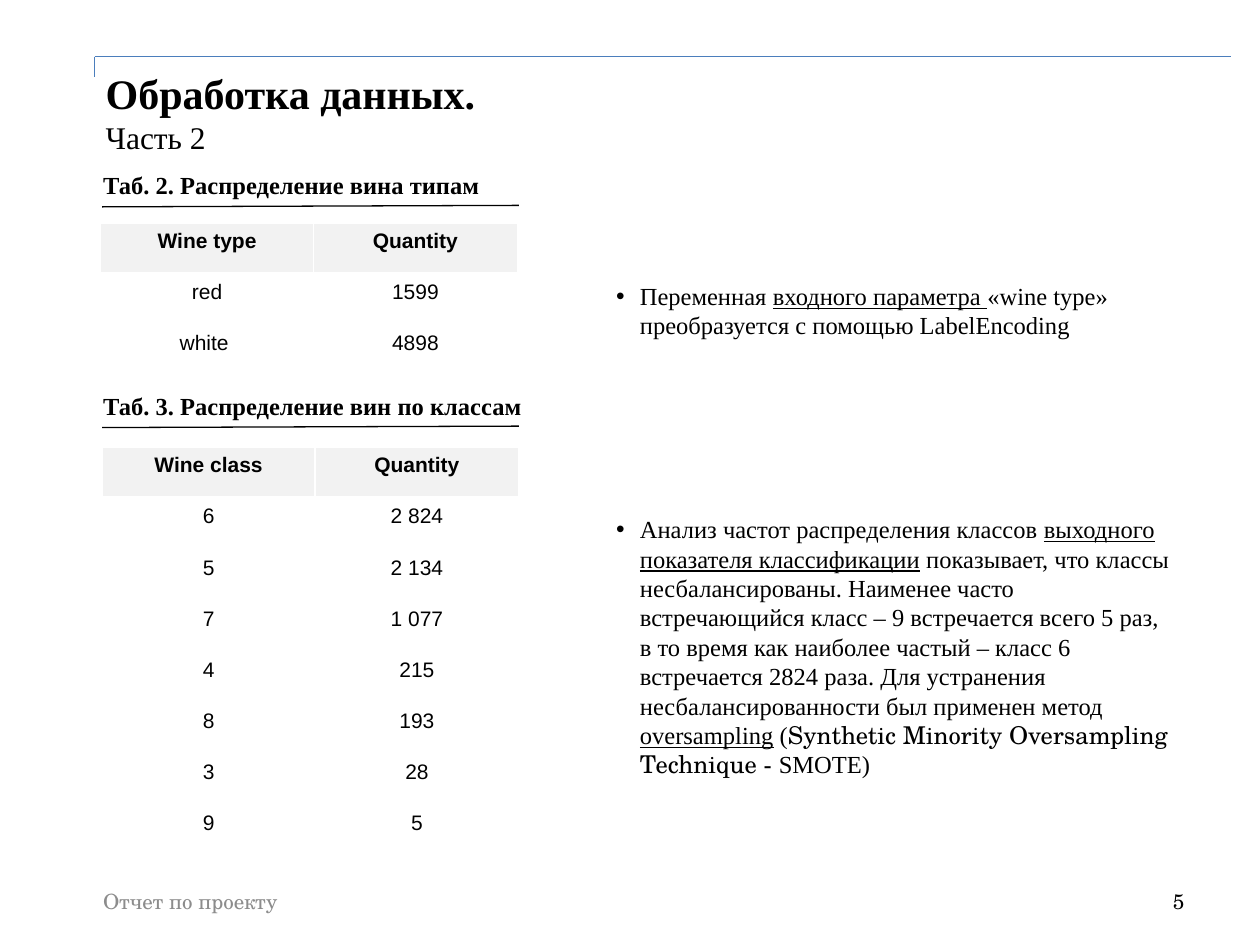
from lxml import etree
from pptx import Presentation, util as u
from pptx.dml.color import RGBColor
from pptx.enum import shapes, text
from pptx.oxml import ns

COLORS = {"ink": "000000", "footer": "8C8C8C", "frame": "4B7EBC",
          "header": "F2F2F2", "border": "FFFFFF"}
SERIF, SANS, SCHOLA = "Times New Roman", "Arial", "TeX Gyre Schola"
BODY = {"name": SERIF, "size": u.Pt(14)}
UNDERLINED = {"underline": True}
CAPTION = {**BODY, "bold": True}
CELL = {"name": SANS, "size": u.Pt(12)}
FOOTER = {"name": SCHOLA, "size": u.Pt(12)}

WINE_TYPES = [("Wine type", "Quantity"), ("red", "1599"), ("white ", "4898")]
WINE_CLASSES = [("Wine class", "Quantity"), ("6", "2 824"), ("5", "2 134"),
                ("7", "1 077"), ("4", "215"), ("8", "193"), ("3", "28"), ("9", "5")]
COLUMN_WIDTHS = (4.29, 4.11)
ROW_HEIGHT = 1.03

TYPE_NOTE = [("Переменная ", {}), ("входного параметра ", UNDERLINED),
             ("«wine type» преобразуется с помощью LabelEncoding", {})]
CLASS_NOTE = [
    ("Анализ частот распределения классов ", {}),
    ("выходного показателя классификации", UNDERLINED),
    (" показывает, что классы несбалансированы. Наименее часто встречающийся "
     "класс – 9 встречается всего 5 раз, в то время как наиболее частый – класс 6 "
     "встречается 2824 раза. Для устранения несбалансированности был применен "
     "метод ", {}),
    ("oversampling", UNDERLINED),
    (" (", {}),
    ("Synthetic Minority Oversampling Technique - ", {"name": SCHOLA}),
    ("SMOTE)", {}),
]


def rgb(color):
    return RGBColor.from_string(COLORS[color])


def set_all(target, values):
    for name, value in values.items():
        setattr(target, name, value)


def add_run(paragraph, words, font, color="ink"):
    run = paragraph.add_run()
    run.text = words
    set_all(run.font, font)
    run.font.color.rgb = rgb(color)


def add_text_box(slide, box, frame_format=None):
    """Add an empty wrapped text box and return its first paragraph."""
    frame = slide.shapes.add_textbox(*map(u.Cm, box)).text_frame
    set_all(frame, {"word_wrap": True, **(frame_format or {})})
    return frame.paragraphs[0]


def add_line(slide, start, end, color):
    line = slide.shapes.add_connector(
        shapes.MSO_CONNECTOR.STRAIGHT, *map(u.Cm, (*start, *end)))
    line.line.color.rgb = rgb(color)
    line.line.width = u.Pt(0.75)
    etree.SubElement(line._element.spPr, ns.qn("a:effectLst"))


def add_title(slide):
    paragraph = add_text_box(slide, (1.88, 1.17, 22.86, 1.83),
                             {"margin_top": u.Cm(0.2)})
    add_run(paragraph, "Обработка данных. ",
            {"name": SERIF, "size": u.Pt(24), "bold": True})
    paragraph.add_line_break()
    add_run(paragraph, "Часть 2", {"name": SERIF, "size": u.Pt(18)})


def add_footer(slide, left, width, words, align, color):
    paragraph = add_text_box(slide, (left, 17.65, width, 1.02),
                             {"vertical_anchor": text.MSO_ANCHOR.MIDDLE})
    paragraph.alignment = align
    add_run(paragraph, words, FOOTER, color)


def add_note(slide, top, height, runs):
    """Add a bulleted paragraph with a hanging indent."""
    paragraph = add_text_box(slide, (12.17, top, 11.71, height))
    paragraph.space_before = u.Pt(12)
    properties = paragraph._p.get_or_add_pPr()
    indent = u.Cm(0.48)
    properties.set("marL", str(indent))
    properties.set("indent", str(-indent))
    etree.SubElement(properties, ns.qn("a:buFont")).set("typeface", SANS)
    etree.SubElement(properties, ns.qn("a:buChar")).set("char", "•")
    for words, changes in runs:
        add_run(paragraph, words, {**BODY, **changes})


def add_caption(slide, top, words):
    """Add a table caption with a rule under it."""
    paragraph = add_text_box(slide, (1.83, top, 22.5, 0.86))
    paragraph.space_before = u.Pt(12)
    add_run(paragraph, words, CAPTION)
    add_line(slide, (2.06, top + 0.87), (10.46, top + 0.84), "ink")


def set_borders(cell):
    properties = cell._tc.get_or_add_tcPr()
    for index, (side, width) in enumerate((("L", 1), ("R", 1), ("T", 1), ("B", 3))):
        border = etree.Element(ns.qn(f"a:ln{side}"), w=str(u.Pt(width)))
        fill = etree.SubElement(border, ns.qn("a:solidFill"))
        etree.SubElement(fill, ns.qn("a:srgbClr")).set("val", COLORS["border"])
        properties.insert(index, border)


def add_table(slide, left, top, rows):
    table = slide.shapes.add_table(
        len(rows), len(COLUMN_WIDTHS), u.Cm(left), u.Cm(top),
        u.Cm(sum(COLUMN_WIDTHS)), u.Cm(ROW_HEIGHT * len(rows))).table
    table.horz_banding = False
    for column, width in zip(table.columns, COLUMN_WIDTHS):
        column.width = u.Cm(width)
    for row_index, row in enumerate(rows):
        is_header = row_index == 0
        for column_index, words in enumerate(row):
            cell = table.cell(row_index, column_index)
            if is_header:
                cell.fill.solid()
                cell.fill.fore_color.rgb = rgb("header")
                set_borders(cell)
            else:
                cell.fill.background()
            paragraph = cell.text_frame.paragraphs[0]
            paragraph.alignment = text.PP_ALIGN.CENTER
            add_run(paragraph, words, {**CELL, "bold": is_header})


def main():
    presentation = Presentation()
    set_all(presentation, {"slide_width": u.Cm(25.4), "slide_height": u.Cm(19.05)})
    slide = presentation.slides.add_slide(presentation.slide_layouts[6])

    corner = (1.91, 1.14)
    add_line(slide, corner, (24.82, 1.14), "frame")
    add_line(slide, corner, (1.91, 1.55), "frame")
    add_title(slide)
    add_footer(slide, 18.21, 5.92, "5", text.PP_ALIGN.RIGHT, "ink")
    add_footer(slide, 1.83, 9.07, "Отчет по проекту", text.PP_ALIGN.LEFT, "footer")

    add_note(slide, 10.24, 5.64, CLASS_NOTE)
    add_table(slide, 2.03, 4.5, WINE_TYPES)
    add_note(slide, 5.54, 1.45, TYPE_NOTE)
    add_caption(slide, 3.3, "Таб. 2. Распределение вина типам")
    add_caption(slide, 7.75, "Таб. 3. Распределение вин по классам")
    add_table(slide, 2.06, 9.02, WINE_CLASSES)
    presentation.save("out.pptx")


if __name__ == "__main__":
    main()
